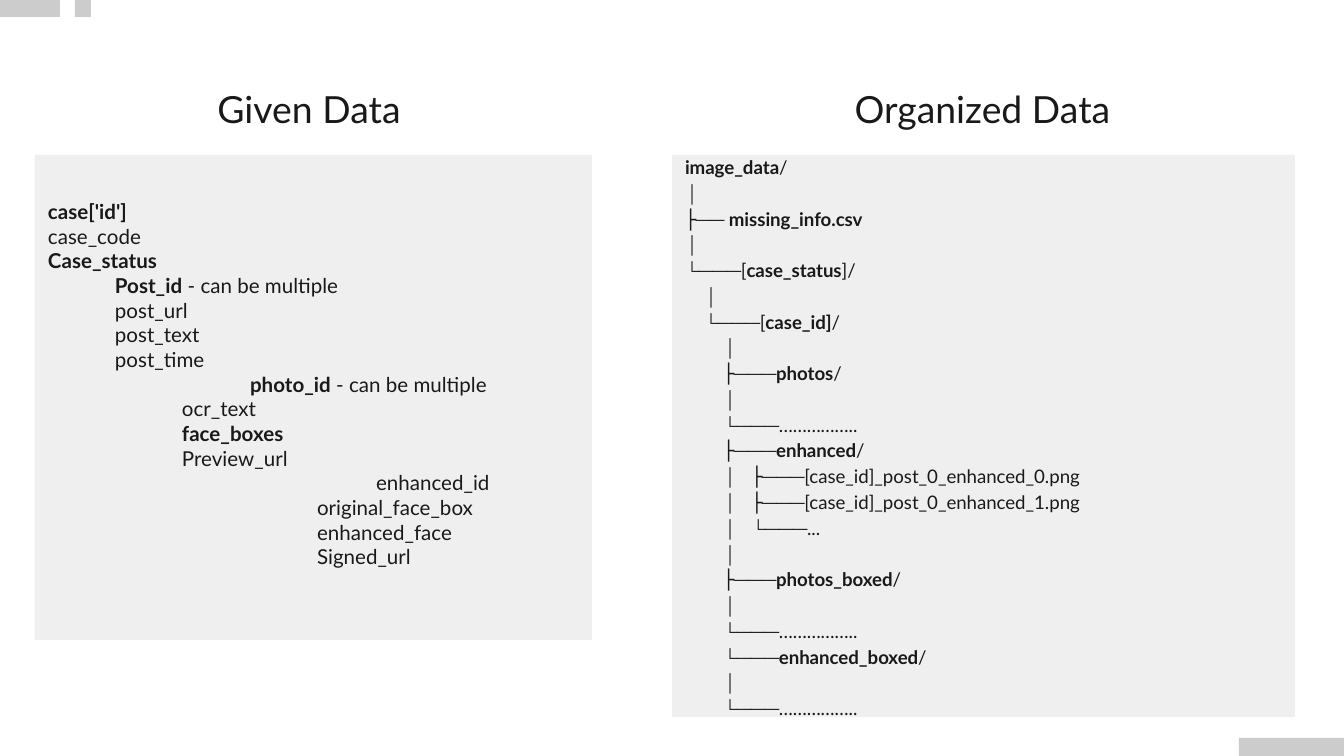
from lxml import etree
from pptx import Presentation
from pptx.dml.color import RGBColor
from pptx.enum.shapes import MSO_SHAPE
from pptx.enum.text import MSO_ANCHOR, MSO_AUTO_SIZE, PP_ALIGN
from pptx.oxml.ns import qn
from pptx.util import Pt

RECT = MSO_SHAPE.RECTANGLE
TOP, MIDDLE = MSO_ANCHOR.TOP, MSO_ANCHOR.MIDDLE
LEFT, CENTER = PP_ALIGN.LEFT, PP_ALIGN.CENTER
FIXED = MSO_AUTO_SIZE.NONE
SCALE = 914400 / 134.4

THEME = {
    "font": "Lato",
    "ink": RGBColor(0x19, 0x19, 0x19),
    "panel": RGBColor(0xEF, 0xEF, 0xEF),
    "bar": RGBColor(0xCC, 0xCC, 0xCC),
    "head": Pt(20),
    "list": Pt(11),
    "tree": Pt(10),
}

# Indent in px and text; stars enclose bold words
FIELDS = [
    (0, "*case['id']*"),
    (0, "case_code"),
    (0, "*Case_status*"),
    (67, "*Post_id* - can be multiple"),
    (67, "post_url"),
    (67, "post_text"),
    (67, "post_time"),
    (202, "*photo_id* - can be multiple"),
    (134, "ocr_text"),
    (134, "*face_boxes*"),
    (134, "Preview_url"),
    (328, "enhanced_id"),
    (269, "original_face_box"),
    (269, "enhanced_face"),
    (269, "Signed_url"),
]

TREE = """*image_data*/
│
├── *missing_info.csv*
│
└───[*case_status*]/
    │
    └───[*case_id]*/
        │
        ├───*photos*/
        │
        └───……………..
        ├───*enhanced*/
        │   ├───[case_id]_post_0_enhanced_0.png
        │   ├───[case_id]_post_0_enhanced_1.png
        │   └───...
        │
        ├───*photos_boxed*/
        │
        └───……………..
        └───*enhanced_boxed*/
        │
        └───……………..""".split("\n")


def px(n):
    return round(n * SCALE)


def write(shape, box, lines, size, align=LEFT, anchor=MIDDLE, gap=1.0, foot=13):
    """Place a placeholder and fill it with (indent, text) lines."""
    shape.left, shape.top, shape.width, shape.height = map(px, box)
    frame = shape.text_frame
    frame.word_wrap = True
    frame.auto_size = FIXED
    frame.vertical_anchor = anchor
    frame.margin_left = frame.margin_top = frame.margin_right = px(13)
    frame.margin_bottom = px(foot)
    for i, (indent, line) in enumerate(lines):
        para = frame.add_paragraph() if i else frame.paragraphs[0]
        props = para._p.get_or_add_pPr()
        props.set("marL", str(px(indent)))
        props.set("indent", "0")
        etree.SubElement(props, qn("a:buNone"))
        para.alignment = align
        para.line_spacing = gap
        para.space_before = para.space_after = Pt(0)
        for j, part in enumerate(line.split("*")):
            if part:
                run = para.add_run()
                run.text = part
                run.font.name = THEME["font"]
                run.font.size = size
                run.font.bold = j % 2 == 1
                run.font.color.rgb = THEME["ink"]


deck = Presentation()
deck.slide_width, deck.slide_height = px(1344), px(756)
slide = deck.slides.add_slide(deck.slide_layouts[4])
title, head_a, body_a, head_b, body_b = slide.placeholders
title._element.getparent().remove(title._element)

# Corner bars
for x, y, w in [(0, -1, 60), (75, -1, 16), (1239, 738, 105)]:
    bar = slide.shapes.add_shape(RECT, px(x), px(y), px(w), px(18))
    bar.shadow.inherit = False
    bar.fill.solid()
    bar.fill.fore_color.rgb = THEME["bar"]
    bar.line.fill.background()

# Panel fills
for body in (body_a, body_b):
    body.fill.solid()
    body.fill.fore_color.rgb = THEME["panel"]

# Given data: heading and field list
write(head_a, (190, 73, 238, 73), [(0, "Given Data")], THEME["head"], CENTER, TOP)
write(body_a, (35, 155, 557, 485), FIELDS, THEME["list"], foot=40)

# Organized data: heading and folder tree
write(head_b, (797, 73, 371, 73), [(0, "Organized Data")], THEME["head"], CENTER, TOP)
write(body_b, (672, 155, 623, 562), [(0, line) for line in TREE], THEME["tree"], gap=1.15)

deck.save("out.pptx")
